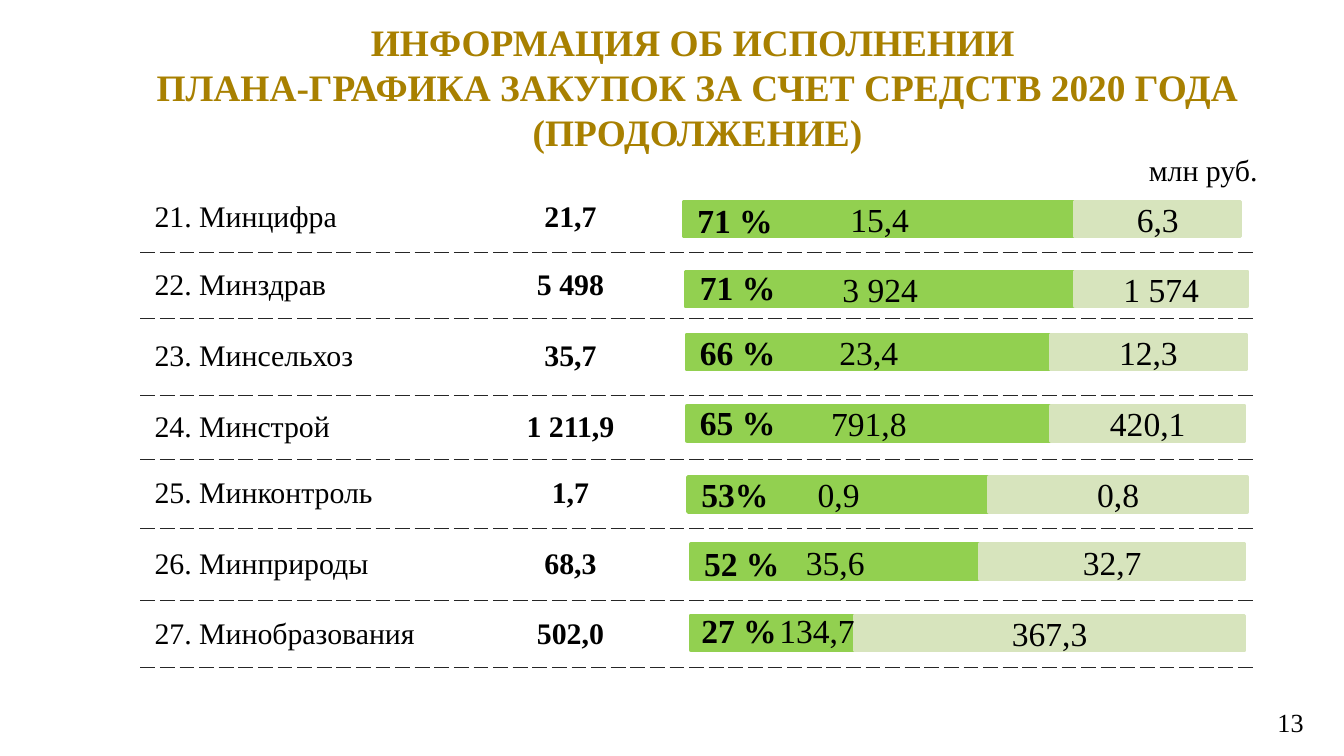
from lxml.etree import SubElement
from pptx import Presentation
from pptx.dml.color import RGBColor
from pptx.enum.shapes import MSO_SHAPE
from pptx.enum.text import MSO_ANCHOR as Anchor, MSO_AUTO_SIZE as AutoSize, PP_ALIGN as Align
from pptx.oxml.ns import qn
from pptx.util import Inches, Pt

FONT = "Times New Roman"
BLACK, WHITE, GOLD = "000000", "FFFFFF", "A88000"
DONE_GREEN, LEFT_GREEN, RULE_GREY = "92D050", "D7E4BD", "262626"
BAR_HEIGHT = 0.26

TITLE = [
    "ИНФОРМАЦИЯ ОБ ИСПОЛНЕНИИ ",
    "ПЛАНА-ГРАФИКА ЗАКУПОК ЗА СЧЕТ СРЕДСТВ 2020 ГОДА",
    "(ПРОДОЛЖЕНИЕ)",
]
COLUMN_WIDTHS = [2.32, 1.75, 4.21]
# ministry, plan, row height, bar (left, split, right, top),
# done, remaining, share, share position
MINISTRIES = [
    ("21. Минцифра", "21,7", 0.52, (5.09, 8, 9.23, 1.5), "15,4", "6,3", "71 %", (5.09, 1.44)),
    ("22. Минздрав", "5 498", 0.49, (5.1, 8, 9.28, 2.02), "3 924", "1 574", "71 %", (5.11, 1.94)),
    ("23. Минсельхоз", "35,7", 0.57, (5.11, 7.82, 9.27, 2.49), "23,4", "12,3", "66 %", (5.11, 2.42)),
    ("24. Минстрой", "1 211,9", 0.48, (5.11, 7.82, 9.26, 3.02), "791,8", "420,1", "65 %", (5.11, 2.94)),
    ("25. Минконтроль", "1,7", 0.51, (5.12, 7.36, 9.28, 3.55), "0,9", "0,8", "53%", (5.12, 3.48)),
    ("26. Минприроды", "68,3", 0.54, (5.14, 7.29, 9.26, 4.05), "35,6", "32,7", "52 %", (5.14, 3.99)),
    ("27. Минобразования", "502,0", 0.5, (5.14, 6.36, 9.26, 4.58), "", "367,3", "27 %", (5.12, 4.49)),
]


def rgb(code):
    return RGBColor.from_string(code)


def write(frame, lines, size, color=BLACK, bold=False, align=Align.LEFT):
    for number, line in enumerate(lines):
        paragraph = frame.add_paragraph() if number else frame.paragraphs[0]
        paragraph.alignment = align
        run = paragraph.add_run()
        run.text = line
        for name, value in {"name": FONT, "size": Pt(size), "bold": bold}.items():
            setattr(run.font, name, value)
        run.font.color.rgb = rgb(color)


def add_title(slide):
    title = slide.shapes.title
    place = {"left": 0.86, "top": 0.37, "width": 8.66, "height": 0.55}
    for name, value in place.items():
        setattr(title, name, Inches(value))
    title.text_frame.vertical_anchor = Anchor.MIDDLE
    title.text_frame.auto_size = AutoSize.NONE
    write(title.text_frame, TITLE, 20, GOLD, True, Align.CENTER)


def add_label(slide, text, left, top, width, height=0.4, size=18, bold=False):
    label = slide.shapes.add_textbox(*map(Inches, (left, top, width, height)))
    label.text_frame.word_wrap = False
    label.text_frame.auto_size = AutoSize.SHAPE_TO_FIT_TEXT
    write(label.text_frame, [text], size, bold=bold)


def add_page_number(slide, number):
    box = slide.shapes.add_textbox(*map(Inches, (9.23, 5.2, 0.54, 0.34)))
    frame = box.text_frame
    margins = {"margin_left": 0.07, "margin_right": 0.07, "margin_top": 0.04, "margin_bottom": 0.04}
    for name, value in margins.items():
        setattr(frame, name, Inches(value))
    frame.word_wrap = True
    frame.vertical_anchor = Anchor.MIDDLE
    write(frame, [number], 14, align=Align.RIGHT)


def add_bar(slide, text, left, right, top, color):
    bar = slide.shapes.add_shape(
        MSO_SHAPE.RECTANGLE, *map(Inches, (left, top, right - left, BAR_HEIGHT)))
    bar.shadow.inherit = False
    bar.fill.solid()
    bar.fill.fore_color.rgb = rgb(color)
    bar.line.color.rgb = rgb(color)
    bar.line.width = Pt(2)
    if text:
        bar.text_frame.vertical_anchor = Anchor.MIDDLE
        write(bar.text_frame, [text], 18, align=Align.CENTER)


def set_borders(cell, first_row):
    """White sides and top edge of the table, dashed rules between rows."""
    side, rule = (WHITE, 1, "solid"), (RULE_GREY, 0.5, "lgDash")
    borders = {"lnL": side, "lnR": side, "lnT": side if first_row else rule, "lnB": rule}
    properties = cell._tc.get_or_add_tcPr()
    for tag, (color, width, dash) in borders.items():
        line = SubElement(properties, qn(f"a:{tag}"), w=str(Pt(width)))
        SubElement(SubElement(line, qn("a:solidFill")), qn("a:srgbClr"), val=color)
        SubElement(line, qn("a:prstDash"), val=dash)


def add_plan_table(slide):
    size = (sum(COLUMN_WIDTHS), sum(ministry[2] for ministry in MINISTRIES))
    table = slide.shapes.add_table(
        len(MINISTRIES), len(COLUMN_WIDTHS), *map(Inches, (1.05, 1.36, *size))).table
    table.first_row = table.horz_banding = False
    for column, width in zip(table.columns, COLUMN_WIDTHS):
        column.width = Inches(width)
    for index, (name, plan, height, *_) in enumerate(MINISTRIES):
        row = table.rows[index]
        row.height = Inches(height)
        for cell in row.cells:
            set_borders(cell, index == 0)
            cell.fill.background()
            cell.vertical_anchor = Anchor.MIDDLE
        write(row.cells[0].text_frame, [name], 16)
        write(row.cells[1].text_frame, [plan], 16, bold=True, align=Align.CENTER)


def add_progress(slide, bar, done, remaining, share, share_at):
    left, split, right, top = bar
    add_bar(slide, done, left, split, top, DONE_GREEN)
    add_bar(slide, remaining, split, right, top, LEFT_GREEN)
    add_label(slide, share, *share_at, 0.77 if " " in share else 0.71, bold=True)


def main():
    deck = Presentation()
    deck.slide_width = Inches(10)
    deck.slide_height = deck.slide_width * 9 // 16
    slide = deck.slides.add_slide(deck.slide_layouts[5])
    add_title(slide)
    add_page_number(slide, "13")
    add_plan_table(slide)
    for _, _, _, *progress in MINISTRIES:
        add_progress(slide, *progress)
    add_label(slide, "134,7", 5.7, 4.49, 0.77)
    add_label(slide, "млн руб.", 8.45, 1.08, 1.02, 0.37, size=16)
    deck.save("out.pptx")


if __name__ == "__main__":
    main()
